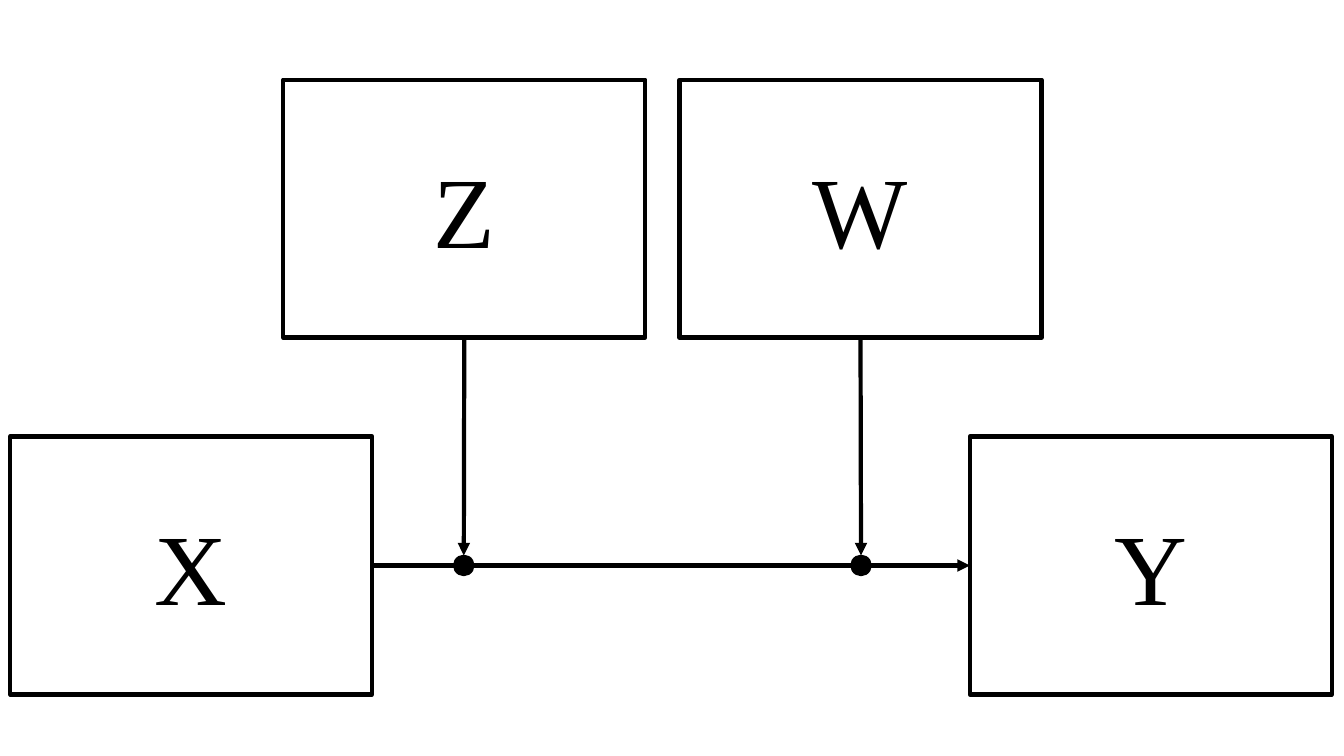
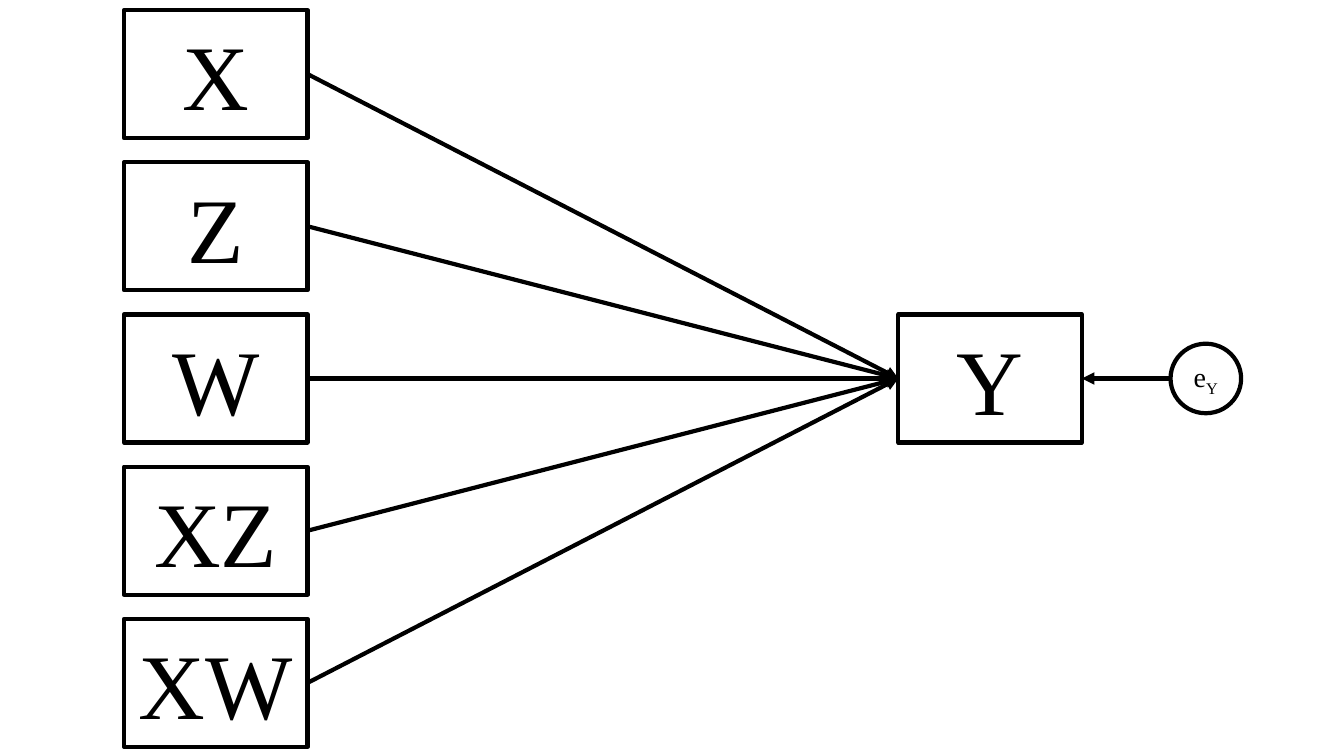
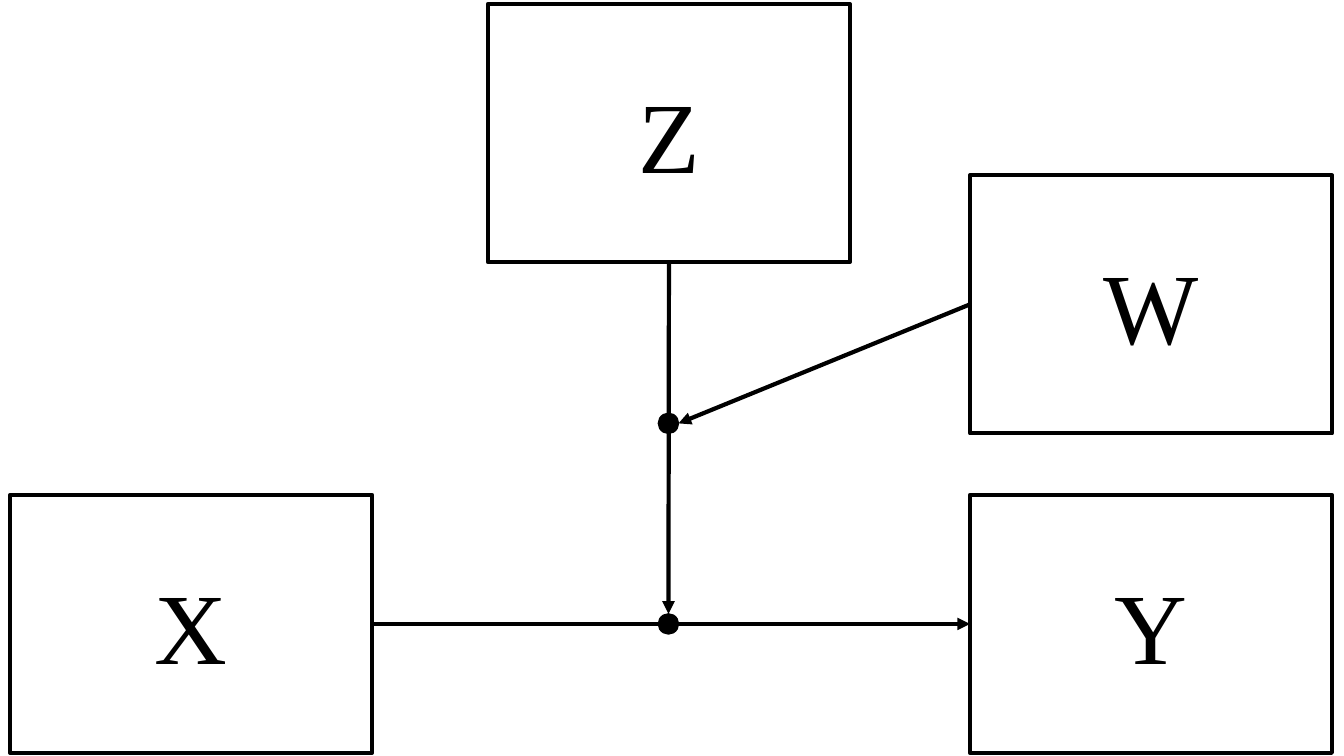
from dataclasses import dataclass

from lxml import etree
from pptx import Presentation
from pptx.dml.color import RGBColor
from pptx.enum.shapes import MSO_CONNECTOR, MSO_SHAPE
from pptx.enum.text import MSO_ANCHOR, PP_ALIGN
from pptx.oxml.ns import qn
from pptx.util import Inches, Pt

RECTANGLE, OVAL = MSO_SHAPE.RECTANGLE, MSO_SHAPE.OVAL
STRAIGHT = MSO_CONNECTOR.STRAIGHT
MIDDLE, CENTER = MSO_ANCHOR.MIDDLE, PP_ALIGN.CENTER
BLANK_LAYOUT = 6
TOP, LEFT, BOTTOM, RIGHT = range(4)  # connection sites of a rectangle
SIDE_FRACTIONS = {TOP: (0.5, 0), LEFT: (0, 0.5), BOTTOM: (0.5, 1), RIGHT: (1, 0.5)}


@dataclass(frozen=True)
class Theme:
    ink: RGBColor = RGBColor(0, 0, 0)
    paper: RGBColor = RGBColor(255, 255, 255)
    font: str = "Times New Roman"
    large: int = 72
    medium: int = 66
    small: int = 20
    line: int = 3
    dot_line: int = 1
    dot_size: float = 0.2
    subscript: str = "-25000"


class Diagram:
    """Draws path diagrams slide by slide."""

    def __init__(self, theme):
        self.theme = theme
        self.presentation = Presentation()
        self.presentation.slide_width = Inches(13.33)
        self.presentation.slide_height = Inches(7.5)
        self.slide = None

    def new_slide(self):
        layout = self.presentation.slide_layouts[BLANK_LAYOUT]
        self.slide = self.presentation.slides.add_slide(layout)

    def outlined(self, kind, left, top, width, height, fill, line_width):
        shape = self.slide.shapes.add_shape(
            kind, Inches(left), Inches(top), Inches(width), Inches(height))
        shape.shadow.inherit = False
        shape.fill.solid()
        shape.fill.fore_color.rgb = fill
        shape.line.color.rgb = self.theme.ink
        shape.line.width = Pt(line_width)
        return shape

    def variable(self, text, left, top, size, text_size, kind=RECTANGLE, subscript=""):
        """Add a labelled node; size is its width and height."""
        shape = self.outlined(kind, left, top, *size, self.theme.paper, self.theme.line)
        frame = shape.text_frame
        for name, value in {"word_wrap": False, "vertical_anchor": MIDDLE}.items():
            setattr(frame, name, value)
        paragraph = frame.paragraphs[0]
        paragraph.alignment = CENTER
        self.run(paragraph, text, text_size)
        if subscript:
            run = self.run(paragraph, subscript, text_size)
            run.font._element.set("baseline", self.theme.subscript)
        return shape

    def run(self, paragraph, text, text_size):
        run = paragraph.add_run()
        run.text = text
        for name, value in {"name": self.theme.font, "size": Pt(text_size)}.items():
            setattr(run.font, name, value)
        run.font.color.rgb = self.theme.ink
        return run

    def dot(self, center_x, center_y):
        """Mark the point where a moderator meets a path."""
        size = self.theme.dot_size
        return self.outlined(OVAL, center_x - size / 2, center_y - size / 2,
                             size, size, self.theme.ink, self.theme.dot_line)

    def arrow(self, start, start_side, end, end_side):
        """Point from one shape's side to another's, glued to rectangles."""
        connector = self.slide.shapes.add_connector(
            STRAIGHT, *side_point(start, start_side), *side_point(end, end_side))
        if start.auto_shape_type == RECTANGLE:
            connector.begin_connect(start, start_side)
        if end.auto_shape_type == RECTANGLE:
            connector.end_connect(end, end_side)
        connector.line.color.rgb = self.theme.ink
        connector.line.width = Pt(self.theme.line)
        line = connector.line._get_or_add_ln()
        etree.SubElement(line, qn("a:tailEnd"), type="triangle")
        etree.SubElement(connector._element.spPr, qn("a:effectLst"))


def side_point(shape, side):
    across, down = SIDE_FRACTIONS[side]
    return (int(shape.left + across * shape.width),
            int(shape.top + down * shape.height))


def moderation(diagram, places, dots, moderators):
    """Draw X to Y with moderators given as (name, side, dot index, dot side)."""
    diagram.new_slide()
    nodes = {name: diagram.variable(name, left, top, (3.59, 2.56), diagram.theme.large)
             for name, (left, top) in places.items()}
    diagram.arrow(nodes["X"], RIGHT, nodes["Y"], LEFT)
    marks = [diagram.dot(*center) for center in dots]
    for name, side, index, dot_side in moderators:
        diagram.arrow(nodes[name], side, marks[index], dot_side)
    return marks


def regression(diagram):
    """Draw five predictors of Y and its error term."""
    diagram.new_slide()
    theme, size = diagram.theme, (1.82, 1.27)
    outcome = diagram.variable("Y", 8.91, 3.12, size, theme.medium)
    for row, name in enumerate(("X", "Z", "W", "XZ", "XW")):
        predictor = diagram.variable(name, 1.23, 0.1 + 1.51 * row, size, theme.medium)
        diagram.arrow(predictor, RIGHT, outcome, LEFT)
    error = diagram.variable("e", 11.61, 3.41, (0.7, 0.69), theme.small, OVAL, "Y")
    diagram.arrow(error, LEFT, outcome, RIGHT)


def main():
    diagram = Diagram(Theme())
    moderation(
        diagram,
        {"Z": (2.81, 0.79), "X": (0.1, 4.33), "Y": (9.62, 4.33), "W": (6.74, 0.79)},
        [(4.6, 5.61), (8.54, 5.61)],
        [("Z", BOTTOM, 0, TOP), ("W", BOTTOM, 1, TOP)])
    regression(diagram)
    moderation(
        diagram,
        {"Z": (4.84, 0.04), "X": (0.1, 4.91), "Y": (9.62, 4.91), "W": (9.62, 1.74)},
        [(6.63, 6.19), (6.63, 4.2)],
        [("Z", BOTTOM, 0, TOP), ("W", LEFT, 1, RIGHT)])
    diagram.presentation.save("out.pptx")


if __name__ == "__main__":
    main()
